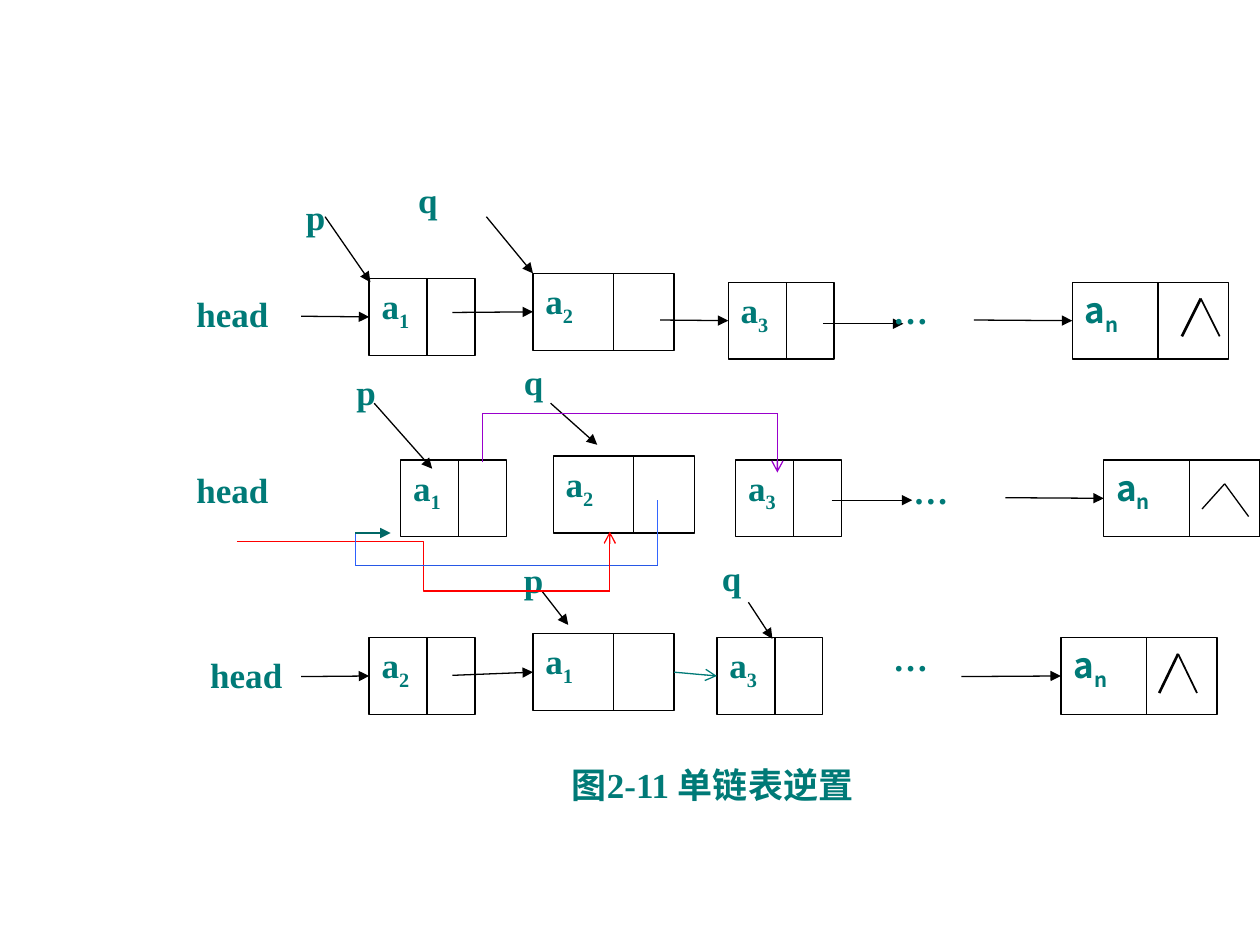
from lxml import etree
from pptx import Presentation
from pptx.dml.color import RGBColor
from pptx.enum.shapes import MSO_CONNECTOR, MSO_SHAPE
from pptx.enum.text import MSO_ANCHOR, MSO_AUTO_SIZE, PP_ALIGN
from pptx.oxml.ns import qn
from pptx.util import Inches, Pt

COLORS = {"ink": "000000", "paper": "FFFFFF", "teal": "007A77", "deep": "006765",
          "blue": "2758E6", "sky": "3366FF", "azure": "2D61FE",
          "red": "FF0000", "purple": "9900CC"}
LATIN, CJK = "Times New Roman", "Noto Sans CJK SC"

# Node kinds: width, divider offset; all nodes share one height
KINDS = {"small": (0.84, 0.46), "wide": (1.12, 0.64), "last": (1.24, 0.68)}
NODE_H = 0.61

# nodes: subscript, kind, left, top
# links: start x, start y, subscript of the node entered on its left side
# arrows: free black arrows; caret: left foot, tip, right foot, line widths
# labels: text, left, top, width, height
ROWS = [
    {"nodes": [("1", "small", 2.93, 2.21), ("2", "wide", 4.23, 2.17),
               ("3", "small", 5.78, 2.24), ("n", "last", 8.51, 2.24)],
     "links": [(2.39, 2.51, "1"), (3.59, 2.48, "2"), (5.24, 2.54, "3"), (7.73, 2.54, "n")],
     "arrows": [(6.53, 2.57, 7.17, 2.57), (2.58, 1.72, 2.94, 2.24), (3.86, 1.72, 4.23, 2.17)],
     "caret": ((9.38, 2.67), (9.53, 2.37), (9.68, 2.67), (1.5, 1)),
     "labels": [("…", 6.99, 2.25, 0.92, 0.67), ("p", 2.33, 1.5, 0.35, 0.44),
                ("q", 3.22, 1.37, 0.92, 0.67), ("head", 1.46, 2.27, 1.35, 0.61)]},
    {"nodes": [("1", "small", 3.18, 3.65), ("2", "wide", 4.39, 3.62),
               ("3", "small", 5.84, 3.65), ("n", "last", 8.76, 3.65)],
     "links": [(7.98, 3.95, "n")],
     "arrows": [(6.6, 3.97, 7.24, 3.97), (2.97, 3.2, 3.43, 3.72), (4.37, 3.2, 4.74, 3.53)],
     "caret": ((9.54, 4.04), (9.72, 3.84), (9.91, 4.1), (0.75, 0.75)),
     "labels": [("…", 7.15, 3.68, 0.92, 0.67), ("p", 2.73, 2.89, 0.92, 0.67),
                ("q", 4.06, 2.81, 0.92, 0.67), ("head", 1.46, 3.67, 1.35, 0.61)]},
    {"nodes": [("2", "small", 2.93, 5.06), ("1", "wide", 4.23, 5.03),
               ("3", "small", 5.69, 5.06), ("n", "last", 8.42, 5.06)],
     "links": [(2.39, 5.37, "2"), (3.59, 5.36, "1"), (7.63, 5.37, "n")],
     "arrows": [(4.3, 4.69, 4.51, 4.96), (5.94, 4.78, 6.13, 5.07)],
     "caret": ((9.2, 5.5), (9.35, 5.19), (9.5, 5.5), (1.5, 1)),
     "labels": [("…", 6.99, 5.0, 0.92, 0.67), ("p", 4.06, 4.38, 0.35, 0.44),
                ("q", 5.63, 4.37, 1.01, 0.67), ("head", 1.57, 5.14, 1.42, 0.61)]},
]

# Rerouted pointers of the middle row: points, colour of each leg, final arrowhead
ROUTES = [
    ([(5.22, 3.97), (5.22, 4.49), (2.82, 4.49), (2.82, 4.23), (3.1, 4.23)],
     ["sky", "blue", "azure", "deep"], "triangle"),
    ([(3.83, 3.67), (3.83, 3.28), (6.17, 3.28), (6.17, 3.75)], ["purple"] * 3, "arrow"),
    ([(4.84, 4.69), (4.84, 4.22)], ["red"], "arrow"),
]
HEAD_ROUTE = (1.88, 4.3, 4.84, 4.69)
CAPTION = ("图2-11 单链表逆置", 3.22, 6.01, 4.87, 0.74)


def rgb(name):
    return RGBColor.from_string(COLORS[name])


def write(sp, text, sub="", font=LATIN, align=PP_ALIGN.LEFT, after=0):
    """Fill a shape with one bold teal paragraph, with an optional subscript."""
    tf = sp.text_frame
    tf.word_wrap = True
    tf.auto_size = MSO_AUTO_SIZE.NONE
    tf.vertical_anchor = MSO_ANCHOR.TOP
    p = tf.paragraphs[0]
    p.alignment = align
    p.space_after = Pt(after)
    for part, baseline in ((text, None), (sub, "-25000")):
        if not part:
            continue
        r = p.add_run()
        r.text = part
        r.font.size, r.font.bold, r.font.name = Pt(20), True, font
        r.font.color.rgb = rgb("teal")
        rPr = r.font._element
        if baseline:
            rPr.set("baseline", baseline)
        if any("\u4e00" <= ch <= "\u9fff" for ch in part):
            etree.SubElement(rPr, qn("a:ea")).set("typeface", CJK)


def add_line(x1, y1, x2, y2, color="ink", width=0.75, head=None, kind=MSO_CONNECTOR.STRAIGHT):
    line = s.shapes.add_connector(kind, *(Inches(v) for v in (x1, y1, x2, y2)))
    line.line.color.rgb = rgb(color)
    line.line.width = Pt(width)
    if head:
        etree.SubElement(line.line._get_or_add_ln(), qn("a:tailEnd")).set("type", head)
    etree.SubElement(line._element.spPr, qn("a:effectLst"))
    return line


def add_node(sub, kind, x, y):
    w, divider = KINDS[kind]
    sp = s.shapes.add_shape(MSO_SHAPE.RECTANGLE, *(Inches(v) for v in (x, y, w, NODE_H)))
    sp.shadow.inherit = False
    sp.fill.solid()
    sp.fill.fore_color.rgb = rgb("paper")
    sp.line.color.rgb = rgb("ink")
    sp.line.width = Pt(0.75)
    write(sp, "a", sub=sub, font=CJK if sub == "n" else LATIN)
    add_line(x + divider, y, x + divider, y + NODE_H)
    return sp


prs = Presentation()
prs.slide_width, prs.slide_height = Inches(10), Inches(7.5)
s = prs.slides.add_slide(prs.slide_layouts[5])

# Linked lists, one per row
for row in ROWS:
    nodes = {node[0]: add_node(*node) for node in row["nodes"]}
    for x, y, target in row["links"]:
        link = add_line(x, y, x + 0.5, y, head="triangle")
        link.end_connect(nodes[target], 1)
    for ends in row["arrows"]:
        add_line(*ends, head="triangle")
    left, tip, right, widths = row["caret"]
    add_line(*left, *tip, width=widths[0])
    add_line(*tip, *right, width=widths[1])
    for text, *box in row["labels"]:
        write(s.shapes.add_textbox(*(Inches(v) for v in box)), text)

# Reversed link between the last row's second and third nodes
link = add_line(5.35, 5.33, 5.69, 5.36, color="teal", head="arrow")
link.begin_connect(nodes["1"], 3)
link.end_connect(nodes["3"], 1)

# Rerouted pointers
add_line(*HEAD_ROUTE, color="red", kind=MSO_CONNECTOR.ELBOW)
for points, colors, head in ROUTES:
    for i, color in enumerate(colors):
        add_line(*points[i], *points[i + 1], color=color,
                 head=head if i == len(colors) - 1 else None)

# Caption
text, *box = CAPTION
title = s.shapes.title
title.left, title.top, title.width, title.height = (Inches(v) for v in box)
write(title, text, align=PP_ALIGN.CENTER, after=6)

prs.save("out.pptx")
